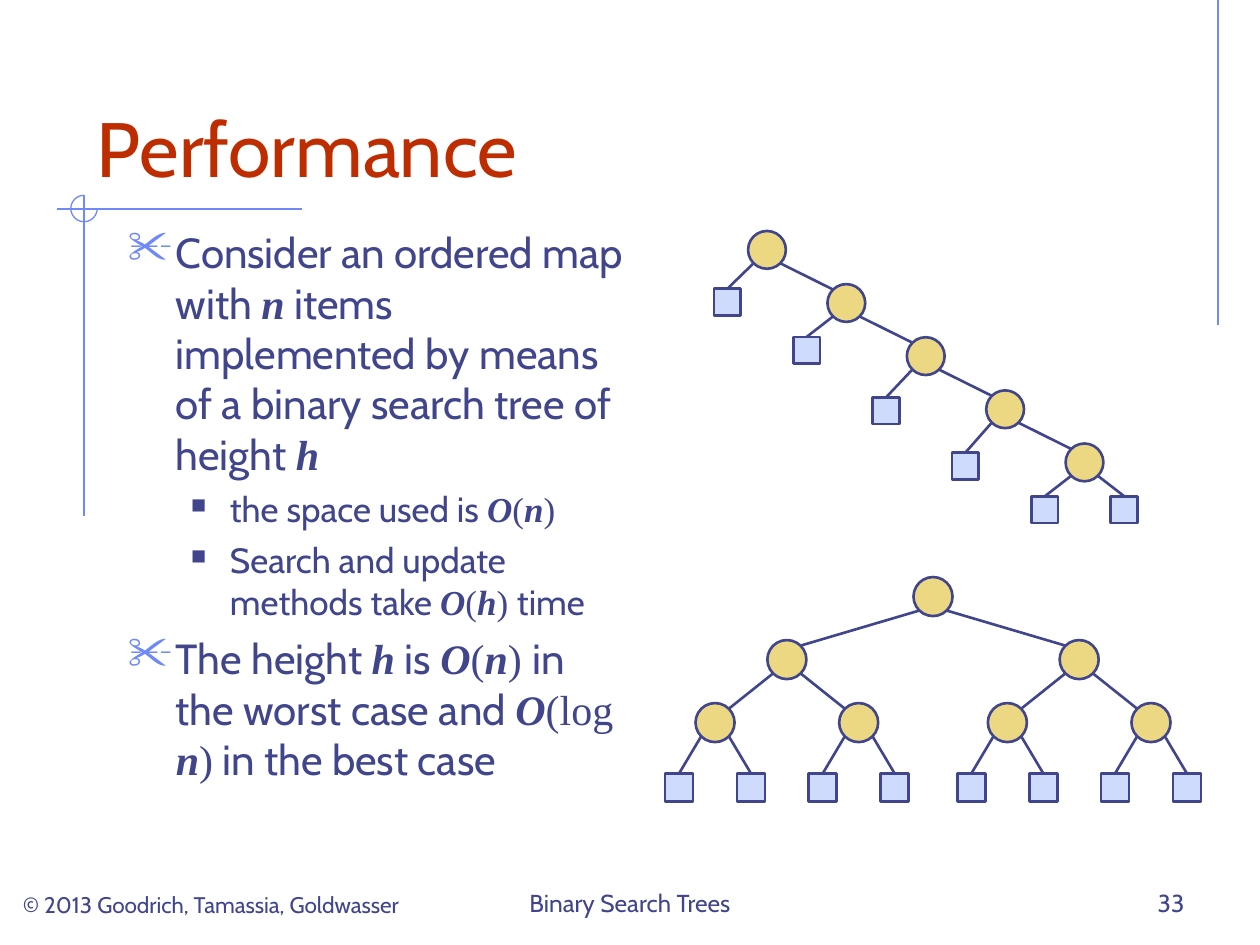
from dataclasses import dataclass

from lxml import etree
from pptx import Presentation
from pptx.dml.color import RGBColor
from pptx.enum.shapes import MSO_CONNECTOR, MSO_SHAPE
from pptx.enum.text import MSO_ANCHOR, MSO_AUTO_SIZE, PP_ALIGN
from pptx.oxml.ns import qn
from pptx.util import Inches, Pt

STRAIGHT = MSO_CONNECTOR.STRAIGHT
CIRCLE, SQUARE, ARC = MSO_SHAPE.OVAL, MSO_SHAPE.RECTANGLE, MSO_SHAPE.ARC
TOP, BOTTOM = MSO_ANCHOR.TOP, MSO_ANCHOR.BOTTOM
LEFT, CENTER, RIGHT = PP_ALIGN.LEFT, PP_ALIGN.CENTER, PP_ALIGN.RIGHT
NO_AUTOFIT = MSO_AUTO_SIZE.NONE

WIDTH, HEIGHT = Inches(10), Inches(7.5)
COLUMNS, ROWS = 120, 90
DIAGONAL = 0.36


@dataclass(frozen=True)
class Theme:
    ink: str = "40458C"
    heading: str = "BE2D00"
    accent: str = "6F89F7"
    internal: str = "ECD882"
    external: str = "CFDBFD"
    sans: str = "Cabin"
    serif: str = "Times New Roman"
    title_size: float = 44
    item_size: float = 24
    detail_size: float = 20
    footer_size: float = 14
    copyright_size: float = 12.9
    edge_width: float = 1.5
    rule_width: float = 0.75


THEME = Theme()


@dataclass(frozen=True)
class Phrase:
    text: str
    font: str = THEME.sans
    strong: bool = False


@dataclass(frozen=True)
class BulletStyle:
    level: int
    mark: str
    color: str
    percent: int
    margin: float
    hanging: float
    before: float
    size: float


@dataclass(frozen=True)
class Footer:
    text: str
    column: float
    columns: float
    align: PP_ALIGN
    size: float = THEME.footer_size


@dataclass(frozen=True)
class Node:
    x: float
    y: float
    size: float
    internal: bool = True
    children: tuple = ()


ITEM = BulletStyle(0, "✂", THEME.accent, 110, 0.38, 0.38, 6, THEME.item_size)
DETAIL = BulletStyle(1, "■", THEME.ink, 60, 0.81, 0.31, 5, THEME.detail_size)


def variable(name: str) -> Phrase:
    return Phrase(name, THEME.serif, True)


def big_o(name: str, opening: str = "(", closing: str = ")") -> list[Phrase]:
    return [variable("O"), Phrase(opening, THEME.serif),
            variable(name), Phrase(closing, THEME.serif)]


POINTS = [
    (ITEM, [Phrase("Consider an ordered map with "), variable("n"),
            Phrase(" items implemented by means of a binary search tree of height "),
            variable("h")]),
    (DETAIL, [Phrase("the space used is "), *big_o("n")]),
    (DETAIL, [Phrase("Search and update methods take "), *big_o("h", closing=") "),
              Phrase("time")]),
    (ITEM, [Phrase("The height "), variable("h"), Phrase(" is "),
            *big_o("n", closing=") "), Phrase("in the worst case and "),
            *big_o("n", opening="(log "), Phrase(" in the best case")]),
]

FOOTERS = [
    Footer("Binary Search Trees", 41, 38, CENTER),
    Footer("33", 86, 28, RIGHT),
    Footer("© 2013 Goodrich, Tamassia, Goldwasser", 1, 46, LEFT, THEME.copyright_size),
]

RULES = [(116, 0, 116, 31), (28.8, 19.9, 5.4, 19.9), (8, 18.6, 8, 49.1)]


def grid(column: float, row: float) -> tuple[int, int]:
    return round(WIDTH * column / COLUMNS), round(HEIGHT * row / ROWS)


def rgb(color: str) -> RGBColor:
    return RGBColor.from_string(color)


def write(paragraph, text: str, *, size: float, color: str = THEME.ink,
          font: str = THEME.sans, strong: bool = False) -> None:
    run = paragraph.add_run()
    run.text = text
    run.font.name = font
    run.font.size = Pt(size)
    run.font.bold = run.font.italic = strong
    run.font.color.rgb = rgb(color)


def prepare(frame, anchor: MSO_ANCHOR):
    frame.word_wrap = True
    frame.auto_size = NO_AUTOFIT
    frame.vertical_anchor = anchor
    return frame


def add_bullet(paragraph, style: BulletStyle) -> None:
    properties = paragraph._p.get_or_add_pPr()
    properties.set("marL", str(Inches(style.margin)))
    properties.set("indent", str(-Inches(style.hanging)))
    color = etree.SubElement(properties, qn("a:buClr"))
    etree.SubElement(color, qn("a:srgbClr"), val=style.color)
    etree.SubElement(properties, qn("a:buSzPct"), val=str(style.percent * 1000))
    etree.SubElement(properties, qn("a:buChar"), char=style.mark)


def draw_line(slide, start: tuple, end: tuple, color: str, width: float) -> None:
    line = slide.shapes.add_connector(STRAIGHT, *grid(*start), *grid(*end))
    line.line.color.rgb = rgb(color)
    line.line.width = Pt(width)
    etree.SubElement(line._element.spPr, qn("a:effectLst"))


def draw_outline(slide, kind: MSO_SHAPE, x: float, y: float, size: float,
                 color: str, width: float):
    shape = slide.shapes.add_shape(kind, *grid(x - size / 2, y - size / 2),
                                   *grid(size, size))
    shape.shadow.inherit = False
    shape.line.color.rgb = rgb(color)
    shape.line.width = Pt(width)
    return shape


def draw_tree(slide, node: Node) -> None:
    for child in node.children:
        side = 1 if child.x > node.x else -1
        reach = DIAGONAL * child.size
        start = (node.x + side * DIAGONAL * node.size, node.y + DIAGONAL * node.size)
        end = ((child.x - side * reach, child.y - reach) if child.internal
               else (child.x, child.y - child.size / 2))
        draw_line(slide, start, end, THEME.ink, THEME.edge_width)
        draw_tree(slide, child)
    shape = draw_outline(slide, CIRCLE if node.internal else SQUARE,
                         node.x, node.y, node.size, THEME.ink, THEME.edge_width)
    shape.fill.solid()
    shape.fill.fore_color.rgb = rgb(THEME.internal if node.internal else THEME.external)


def worst_case(x: float, y: float, drops: tuple) -> Node:
    def leaf(offset: float) -> Node:
        return Node(x + offset, y + drops[0], 2.55, False)

    right = worst_case(x + 7.56, y + 5.06, drops[1:]) if drops[1:] else leaf(3.78)
    return Node(x, y, 3.6, children=(leaf(-3.78), right))


def best_case(x: float, y: float, spreads: tuple) -> Node:
    if not spreads:
        return Node(x, y + 0.18, 2.68, False)
    children = tuple(best_case(x + side * spreads[0], y + 6, spreads[1:])
                     for side in (-1, 1))
    return Node(x, y, 3.72, children=children)


def draw_decoration(slide) -> None:
    for x1, y1, x2, y2 in RULES:
        draw_line(slide, (x1, y1), (x2, y2), THEME.accent, THEME.rule_width)
    arc = draw_outline(slide, ARC, 8, 19.86, 2.52, THEME.accent, THEME.rule_width)
    arc.fill.background()
    arc.adjustments[0], arc.adjustments[1] = 0, 162


def write_title(slide) -> None:
    title = slide.shapes.title
    title.left, title.top = grid(8, 4)
    title.width, title.height = grid(105, 15)
    heading = prepare(title.text_frame, BOTTOM).paragraphs[0]
    heading.alignment = LEFT
    write(heading, "Performance", size=THEME.title_size, color=THEME.heading)


def write_points(slide) -> None:
    body = slide.shapes.add_textbox(*grid(11, 21), *grid(50, 61))
    frame = prepare(body.text_frame, TOP)
    for index, (style, phrases) in enumerate(POINTS):
        paragraph = frame.add_paragraph() if index else frame.paragraphs[0]
        paragraph.level = style.level
        add_bullet(paragraph, style)
        if index:
            paragraph.space_before = Pt(style.before)
        for phrase in phrases:
            write(paragraph, phrase.text, size=style.size,
                  font=phrase.font, strong=phrase.strong)


def write_footer(slide, footer: Footer) -> None:
    box = slide.shapes.add_textbox(*grid(footer.column, 82), *grid(footer.columns, 6))
    paragraph = prepare(box.text_frame, BOTTOM).paragraphs[0]
    paragraph.alignment = footer.align
    write(paragraph, footer.text, size=footer.size)


def main() -> None:
    deck = Presentation()
    deck.slide_width, deck.slide_height = WIDTH, HEIGHT
    slide = deck.slides.add_slide(deck.slide_layouts[5])
    draw_decoration(slide)
    write_title(slide)
    write_points(slide)
    draw_tree(slide, worst_case(73.05, 23.8, (4.98, 4.5, 5.2, 5.4, 4.5)))
    draw_tree(slide, best_case(88.86, 56.82, (13.92, 6.84, 3.42)))
    for footer in FOOTERS:
        write_footer(slide, footer)
    deck.save("out.pptx")


if __name__ == "__main__":
    main()
